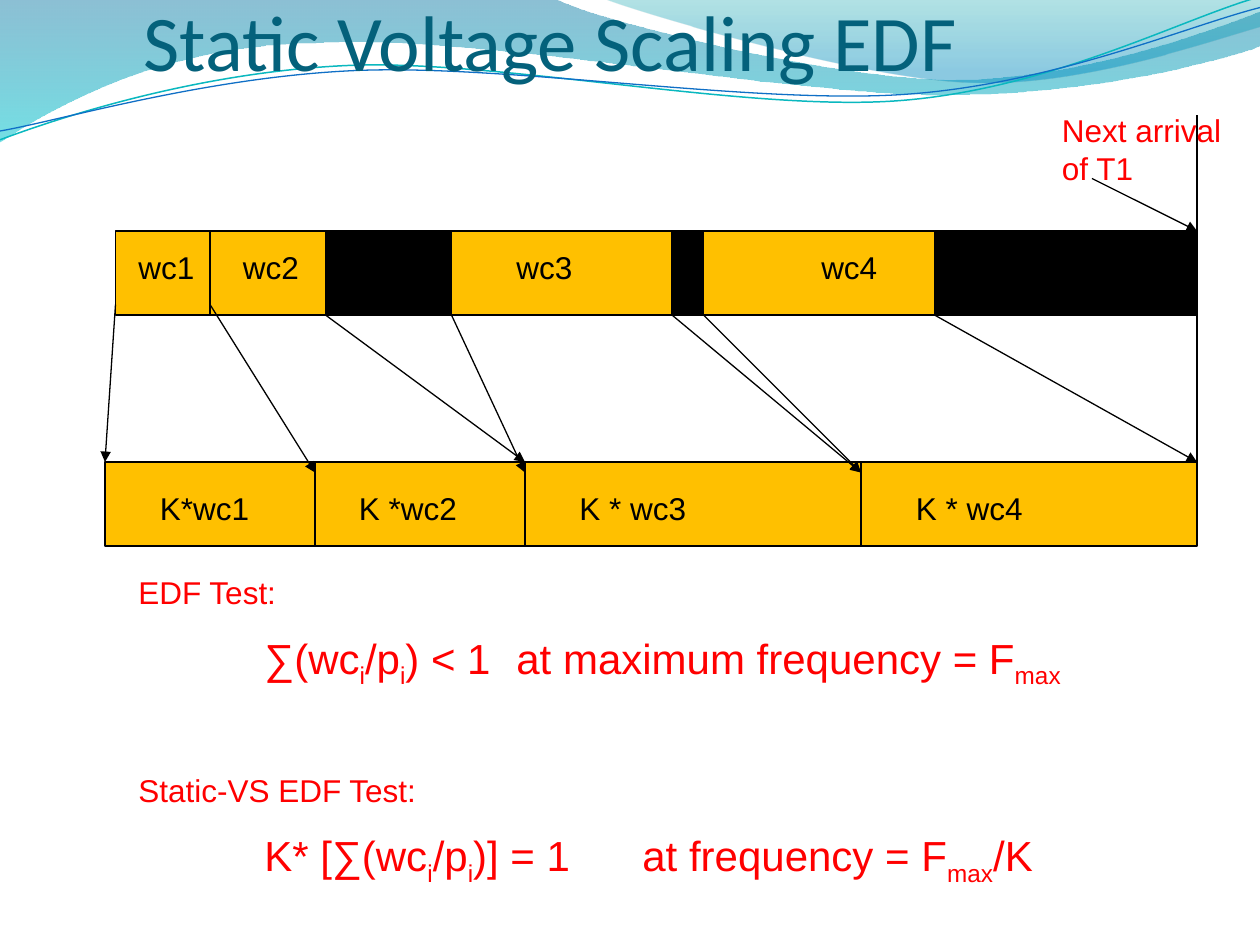
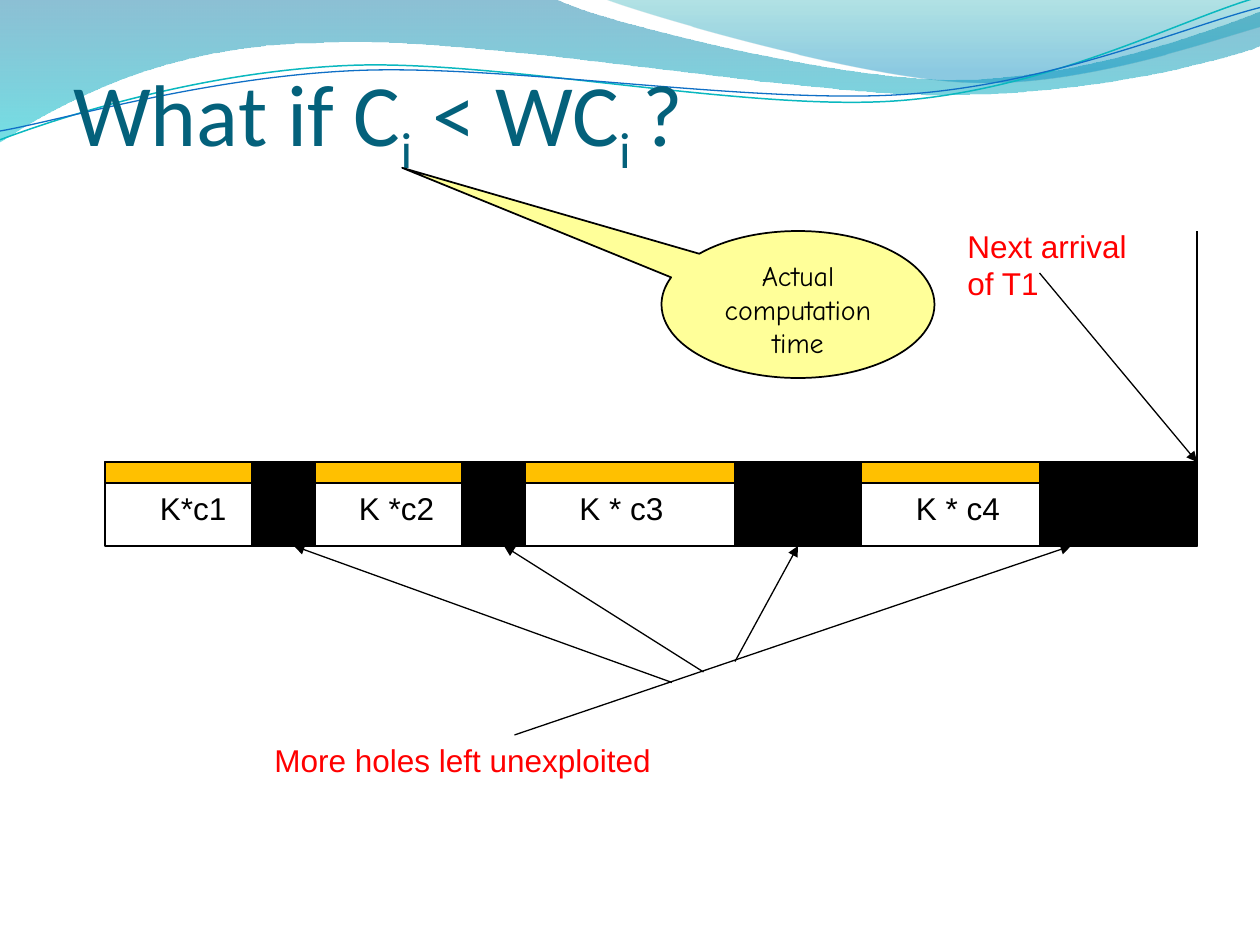
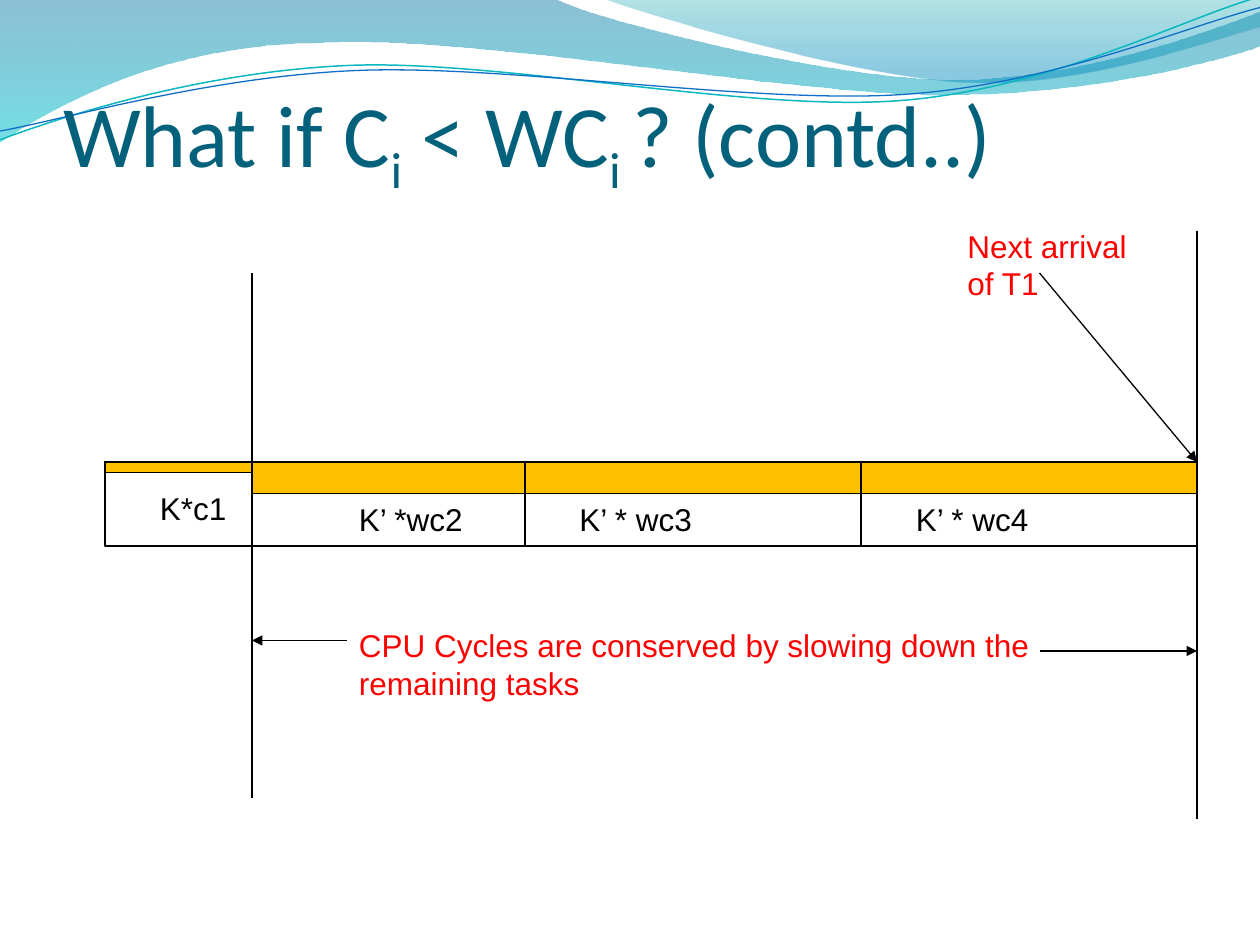
"""Build three slides on static voltage scaling for EDF scheduling."""
import pptx
import pptx.dml.color
import pptx.enum.shapes
import pptx.enum.text
import pptx.oxml.ns
import pptx.util
from lxml import etree
from pptx.util import Inches

BLACK, WHITE, RED = "000000", "FFFFFF", "FF0000"
TITLE_COLOR, WORK, CALLOUT = "04617B", "FFC000", "FFFF99"
ROW_HEIGHT = 0.67
LABEL_HEIGHT, TWO_LINE_HEIGHT = 0.4, 0.7
GRID_STEPS_PER_INCH = 12

WAVES = [
    {"start": (0, -0.01),
     "segments": [(4.4, -0.01), (4.76, 0.17, 6.64, 0.63, 7.58, 0.63),
                  (8.53, 0.63, 9.58, 0.26, 10, 0.09), (10.01, 0.36),
                  (9.83, 0.44, 8.7, 0.76, 7.46, 0.75),
                  (6.22, 0.75, 3.82, 0.28, 2.57, 0.34),
                  (1.29, 0.35, 0.46, 0.83, -0.01, 1.13), (0, -0.01)],
     "gradient": [(0, "0074A1", 45), (1, "00C6CF", 55)]},
    {"start": (4.79, -0.01),
     "segments": [(5.09, 0.11, 6.82, 0.62, 7.69, 0.65),
                  (8.56, 0.69, 9.61, 0.32, 10, 0.21), (10, 0), (4.79, -0.01)],
     "gradient": [(0, "00A1A9", 30), (0.8, "008BBF", 45)]},
    {"start": (0, 1.11),
     "segments": [(0.48, 0.93, 1.58, 0.57, 2.77, 0.52),
                  (3.95, 0.47, 5.93, 0.89, 7.13, 0.8),
                  (8.33, 0.71, 9.38, 0.15, 9.98, -0.02)],
     "line": ("0AB8BF", 0.85)},
    {"start": (0, 1.04),
     "segments": [(0.47, 0.96, 1.64, 0.61, 2.83, 0.56),
                  (4.03, 0.51, 5.97, 0.83, 7.17, 0.75),
                  (8.36, 0.67, 9.41, 0.21, 10, 0.06)],
     "line": ("0F6FC6", 0.75)},
]

NEXT_ARRIVAL = "Next arrival of T1"
ARRIVAL_NOTE = (NEXT_ARRIVAL, 7.58, 1.75, 1.67, TWO_LINE_HEIGHT)
ARRIVAL_LINE = (9.5, 3.67, 9.5, 1.83)
ARRIVAL_ARROW = (8.25, 2.17, 9.5, 3.67)

SLIDES = [
    {"title": "Static Voltage Scaling EDF",
     "title_box": (1.14, 0.3, 8.19, 0.39), "title_size": 45,
     "rows": [
         {"top": 1.83, "left": 0.92, "right": 7.42, "fill": WORK,
          "dividers": [1.67, 2.58, 3.58, 5.33, 5.58],
          "blocks": [(2.58, 3.58, ROW_HEIGHT, BLACK),
                     (5.33, 5.58, ROW_HEIGHT, BLACK),
                     (7.42, 9.5, ROW_HEIGHT, BLACK)]},
         {"top": 3.67, "left": 0.83, "right": 9.5, "fill": WORK,
          "dividers": [2.5, 4.17, 6.83], "blocks": []}],
     "labels": [("wc1", 1, 1.92, 0.67), ("wc2", 1.83, 1.92, 0.67),
                ("wc3", 4, 1.92, 0.67), ("wc4", 6.42, 1.92, 0.67),
                ("K*wc1", 1.17, 3.83, 0.92), ("K *wc2", 2.75, 3.83, 1),
                ("K * wc3", 4.5, 3.83, 1.67), ("K * wc4", 7.17, 3.83, 1.92)],
     "lines": [(5, 2.5, 9.5, 2.5), (9.5, 3.67, 9.5, 0.92)],
     "arrows": [(1.67, 2.42, 2.5, 3.75), (0.92, 2.42, 0.83, 3.67),
                (3.58, 2.5, 4.17, 3.75), (2.58, 2.5, 4.17, 3.67),
                (5.33, 2.5, 6.83, 3.75), (5.58, 2.5, 6.83, 3.75),
                (7.42, 2.5, 9.5, 3.67), (8.67, 1.42, 9.5, 1.83)],
     "notes": [(NEXT_ARRIVAL, 8.33, 0.83, 1.67, TWO_LINE_HEIGHT)],
     "tests": [("EDF Test:", 18, 0),
               ("\t∑(wc|i|/p|i|) < 1 \tat maximum frequency = F|max|", 24, 12),
               ("Static-VS EDF Test:", 18, 46.5),
               ("\tK* [∑(wc|i|/p|i|)] = 1 \tat frequency = F|max|/K", 24, 12)],
     "tests_box": (1, 4.5, 7.75, 2.41)},
    {"title": "What if C|i| < WC|i |?",
     "title_box": (0.58, 0.17, 9.08, 1.25), "title_size": 50,
     "rows": [
         {"top": 3.67, "left": 0.83, "right": 9.5, "fill": WHITE,
          "dividers": [2, 2.5, 3.67, 4.17, 5.83, 6.83, 8.25],
          "blocks": [(0.83, 2, 0.17, WORK), (2, 2.5, ROW_HEIGHT, BLACK),
                     (2.5, 3.67, 0.17, WORK), (3.67, 4.17, ROW_HEIGHT, BLACK),
                     (4.17, 5.83, 0.17, WORK), (5.83, 6.83, ROW_HEIGHT, BLACK),
                     (6.83, 8.25, 0.17, WORK), (8.25, 9.5, ROW_HEIGHT, BLACK)]}],
     "labels": [("K*c1", 1.17, 3.83, 0.92), ("K *c2", 2.75, 3.83, 1),
                ("K * c3", 4.5, 3.83, 1.67), ("K * c4", 7.17, 3.83, 1.92)],
     "lines": [ARRIVAL_LINE],
     "arrows": [ARRIVAL_ARROW, (4.08, 5.83, 8.5, 4.33), (5.83, 5.25, 6.33, 4.33),
                (5.58, 5.33, 4, 4.33), (5.33, 5.42, 2.33, 4.33)],
     "notes": [ARRIVAL_NOTE,
               ("More holes left unexploited", 2.08, 5.83, 3.58, LABEL_HEIGHT)],
     "callout": "Actual computation time",
     "callout_box": (5.25, 1.83, 2.17, 1.17), "callout_tip": (-1.45, -0.93)},
    {"title": "What if C|i| < WC|i |? (contd..)",
     "title_box": (0.5, 0.33, 9.08, 1.25), "title_size": 50,
     "rows": [
         {"top": 3.67, "left": 0.83, "right": 9.5, "fill": WHITE,
          "dividers": [2, 4.17, 6.83],
          "blocks": [(0.83, 2, 0.08, WORK), (2, 4.17, 0.25, WORK),
                     (4.17, 6.83, 0.25, WORK), (6.83, 9.5, 0.25, WORK)]}],
     "labels": [("K*c1", 1.17, 3.83, 0.92), ("K’ *wc2", 2.75, 3.92, 1.42),
                ("K’ * wc3", 4.5, 3.92, 1.67), ("K’ * wc4", 7.17, 3.92, 1.92)],
     "lines": [ARRIVAL_LINE, (2, 3.67, 2, 2.17), (2, 4.33, 2, 6.33),
               (9.5, 4.33, 9.5, 6.5)],
     "arrows": [ARRIVAL_ARROW, (8.25, 5.17, 9.5, 5.17), (2.75, 5.08, 2, 5.08)],
     "notes": [ARRIVAL_NOTE,
               ("CPU Cycles are conserved by slowing down the remaining tasks",
                2.75, 4.92, 5.75, TWO_LINE_HEIGHT)]},
]


def rgb(color):
    return pptx.dml.color.RGBColor.from_string(color)


def on_grid(lengths):
    return [Inches(round(length * GRID_STEPS_PER_INCH) / GRID_STEPS_PER_INCH)
            for length in lengths]


def write(paragraph, text, size=18, font="Arial", color=BLACK, before=0, align=None):
    paragraph.space_before = pptx.util.Pt(before)
    paragraph.alignment = align
    paragraph._p.get_or_add_pPr().set("defTabSz", str(Inches(1)))
    for index, piece in enumerate(text.split("|")):
        if not piece:
            continue
        run = paragraph.add_run()
        run.text = piece
        run.font.size = pptx.util.Pt(size)
        run.font.name = font
        run.font.color.rgb = rgb(color)
        if index % 2:
            run.font._element.set("baseline", "-25000")


def add_frame(slide, box):
    frame = slide.shapes.add_textbox(*map(Inches, box)).text_frame
    frame.word_wrap = True
    return frame


def add_block(slide, box, fill, kind="RECTANGLE", width=0.75):
    preset = pptx.enum.shapes.MSO_SHAPE[kind]
    block = slide.shapes.add_shape(preset, *on_grid(box))
    block.shadow.inherit = False
    block.fill.solid()
    block.fill.fore_color.rgb = rgb(fill)
    block.line.color.rgb = rgb(BLACK)
    block.line.width = pptx.util.Pt(width)
    return block


def add_line(slide, ends, arrow=False):
    straight = pptx.enum.shapes.MSO_CONNECTOR.STRAIGHT
    connector = slide.shapes.add_connector(straight, *on_grid(ends))
    connector.line.color.rgb = rgb(BLACK)
    connector.line.width = pptx.util.Pt(0.75)
    if arrow:
        tail = etree.SubElement(connector.line._get_or_add_ln(),
                                pptx.oxml.ns.qn("a:tailEnd"))
        tail.set("type", "triangle")
    etree.SubElement(connector.element.spPr, pptx.oxml.ns.qn("a:effectLst"))


def bend(shape, segments):
    steps = iter(list(shape.element.spPr.iter(pptx.oxml.ns.qn("a:lnTo"))))
    for segment in segments:
        first, *others = [next(steps) for _ in range(len(segment) // 2)]
        if others:
            first.tag = pptx.oxml.ns.qn("a:cubicBezTo")
        for step in others:
            first.append(step[0])
            step.getparent().remove(step)


def add_wave(slide, wave):
    points = [tuple(map(Inches, segment[i:i + 2]))
              for segment in wave["segments"] for i in range(0, len(segment), 2)]
    builder = slide.shapes.build_freeform(*map(Inches, wave["start"]))
    builder.add_line_segments(points, close="gradient" in wave)
    shape = builder.convert_to_shape()
    bend(shape, wave["segments"])
    shape.shadow.inherit = False
    if "line" in wave:
        color, width = wave["line"]
        shape.fill.background()
        shape.line.color.rgb = rgb(color)
        shape.line.width = pptx.util.Pt(width)
        return shape
    shape.line.fill.background()
    shape.fill.gradient()
    shape.fill.gradient_angle = 270
    for stop, (position, color, _) in zip(shape.fill.gradient_stops, wave["gradient"]):
        stop.position = position
        stop.color.rgb = rgb(color)
    colors = shape.element.spPr.iter(pptx.oxml.ns.qn("a:srgbClr"))
    for element, (_, _, opacity) in zip(colors, wave["gradient"]):
        alpha = etree.SubElement(element, pptx.oxml.ns.qn("a:alpha"))
        alpha.set("val", str(opacity * 1000))
    return shape


def decorate_layout(slide):
    layout = slide.slide_layout
    for placeholder in list(layout.placeholders):
        layout.shapes.element.remove(placeholder.element)
    for wave in WAVES:
        layout.shapes.element.append(add_wave(slide, wave).element)


def add_title(slide, content):
    frame = add_frame(slide, content["title_box"])
    frame.vertical_anchor = pptx.enum.text.MSO_ANCHOR.BOTTOM
    frame.margin_left = frame.margin_right = frame.margin_bottom = 0
    write(frame.paragraphs[0], content["title"], size=content["title_size"],
          font="Calibri", color=TITLE_COLOR)


def add_row(slide, row):
    top, left = row["top"], row["left"]
    add_block(slide, (left, top, row["right"] - left, ROW_HEIGHT), row["fill"])
    for x in row["dividers"]:
        add_line(slide, (x, top, x, top + ROW_HEIGHT))
    for start, end, height, fill in row["blocks"]:
        add_block(slide, (start, top, end - start, height), fill)


def add_tests(slide, content):
    frame = add_frame(slide, content["tests_box"])
    for index, (text, size, before) in enumerate(content["tests"]):
        paragraph = frame.add_paragraph() if index else frame.paragraphs[0]
        write(paragraph, text, size=size, color=RED, before=before)


def add_callout(slide, content):
    callout = add_block(slide, content["callout_box"], CALLOUT, "OVAL_CALLOUT", 1)
    for index, value in enumerate(content["callout_tip"]):
        callout.adjustments[index] = value
    frame = callout.text_frame
    frame.word_wrap = True
    frame.vertical_anchor = pptx.enum.text.MSO_ANCHOR.TOP
    write(frame.paragraphs[0], content["callout"], size=16, font="Comic Neue",
          align=pptx.enum.text.PP_ALIGN.CENTER)


def fill_slide(slide, content):
    add_title(slide, content)
    for row in content["rows"]:
        add_row(slide, row)
    for text, *box in content["labels"]:
        write(add_frame(slide, (*box, LABEL_HEIGHT)).paragraphs[0], text)
    for ends in content["lines"]:
        add_line(slide, ends)
    for ends in content["arrows"]:
        add_line(slide, ends, arrow=True)
    for text, *box in content["notes"]:
        write(add_frame(slide, box).paragraphs[0], text, color=RED)
    if "tests" in content:
        add_tests(slide, content)
    if "callout" in content:
        add_callout(slide, content)


def main():
    deck = pptx.Presentation()
    deck.slide_width, deck.slide_height = Inches(10), Inches(7.5)
    for number, content in enumerate(SLIDES):
        slide = deck.slides.add_slide(deck.slide_layouts[6])
        if number == 0:
            decorate_layout(slide)
        fill_slide(slide, content)
    deck.save("out.pptx")


if __name__ == "__main__":
    main()
